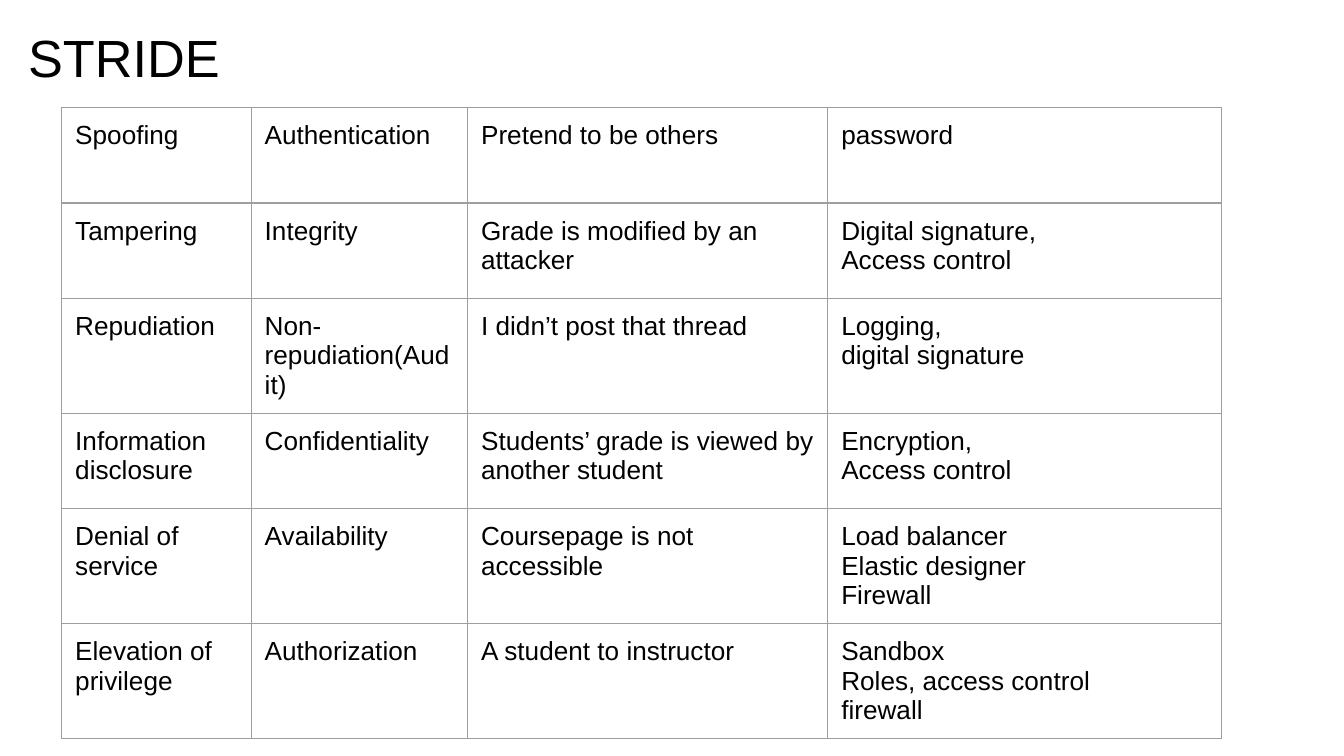
import pptx
import pptx.dml.color
import pptx.enum.text
import pptx.oxml
import pptx.oxml.ns
import pptx.util
from pptx.util import Inches

COLORS = {"text": "000000", "border": "9E9E9E"}
MARGINS = {
    "margin_left": Inches(0.1),
    "margin_right": Inches(0.1),
    "margin_top": Inches(0.1),
    "margin_bottom": Inches(0.1),
    "vertical_anchor": pptx.enum.text.MSO_ANCHOR.TOP,
}
TITLE_PLACE = {"left": 0.11, "top": 0.09, "width": 9.32, "height": 0.63}
COLUMN_WIDTHS = [1.41, 1.61, 2.68, 2.93]
ROW_HEIGHT = 0.71
THREATS = [
    ["Spoofing", "Authentication", "Pretend to be others", "password"],
    ["Tampering", "Integrity", "Grade is modified by an attacker",
     "Digital signature,\nAccess control"],
    ["Repudiation", "Non-repudiation(Audit)", "I didn’t post that thread",
     "Logging, \vdigital signature"],
    ["Information disclosure", "Confidentiality",
     "Students’ grade is viewed by another student",
     "Encryption,\nAccess control"],
    ["Denial of service", "Availability", "Coursepage is not accessible",
     "Load balancer\nElastic designer\nFirewall"],
    ["Elevation of privilege", "Authorization", "A student to instructor",
     "Sandbox\nRoles, access control\nfirewall"],
]


def format_text(frame, size):
    for para in frame.paragraphs:
        para.alignment = pptx.enum.text.PP_ALIGN.LEFT
        for span in para.runs:
            for name, value in {"name": "Arial", "size": pptx.util.Pt(size)}.items():
                setattr(span.font, name, value)
            span.font.color.rgb = pptx.dml.color.RGBColor.from_string(COLORS["text"])


def add_borders(cell):
    properties = cell._tc.get_or_add_tcPr()
    for position, side in enumerate(["lnL", "lnR", "lnT", "lnB"]):
        line = pptx.oxml.parse_xml(
            f'<a:{side} {pptx.oxml.ns.nsdecls("a")} w="{pptx.util.Pt(0.75)}">'
            f'<a:solidFill><a:srgbClr val="{COLORS["border"]}"/></a:solidFill>'
            f'<a:prstDash val="solid"/></a:{side}>'
        )
        properties.insert(position, line)


deck = pptx.Presentation()
deck.slide_width = Inches(10)
deck.slide_height = Inches(10 * 9 / 16)
page = deck.slides.add_slide(deck.slide_layouts[5])

title = page.shapes.title
for name, value in TITLE_PLACE.items():
    setattr(title, name, Inches(value))
title.text_frame.text = "STRIDE"
for name, value in MARGINS.items():
    setattr(title.text_frame, name, value)
title.text_frame.auto_size = pptx.enum.text.MSO_AUTO_SIZE.NONE
format_text(title.text_frame, 28)

table = page.shapes.add_table(
    len(THREATS), len(COLUMN_WIDTHS), Inches(0.46), Inches(0.8),
    Inches(sum(COLUMN_WIDTHS)), Inches(ROW_HEIGHT * len(THREATS)),
).table
table.first_row = False
table.horz_banding = False
for column, width in zip(table.columns, COLUMN_WIDTHS):
    column.width = Inches(width)

for row, texts in zip(table.rows, THREATS):
    row.height = Inches(ROW_HEIGHT)
    for cell, text in zip(row.cells, texts):
        cell.text = text
        for name, value in MARGINS.items():
            setattr(cell, name, value)
        cell.fill.background()
        add_borders(cell)
        format_text(cell.text_frame, 14)

deck.save("out.pptx")
